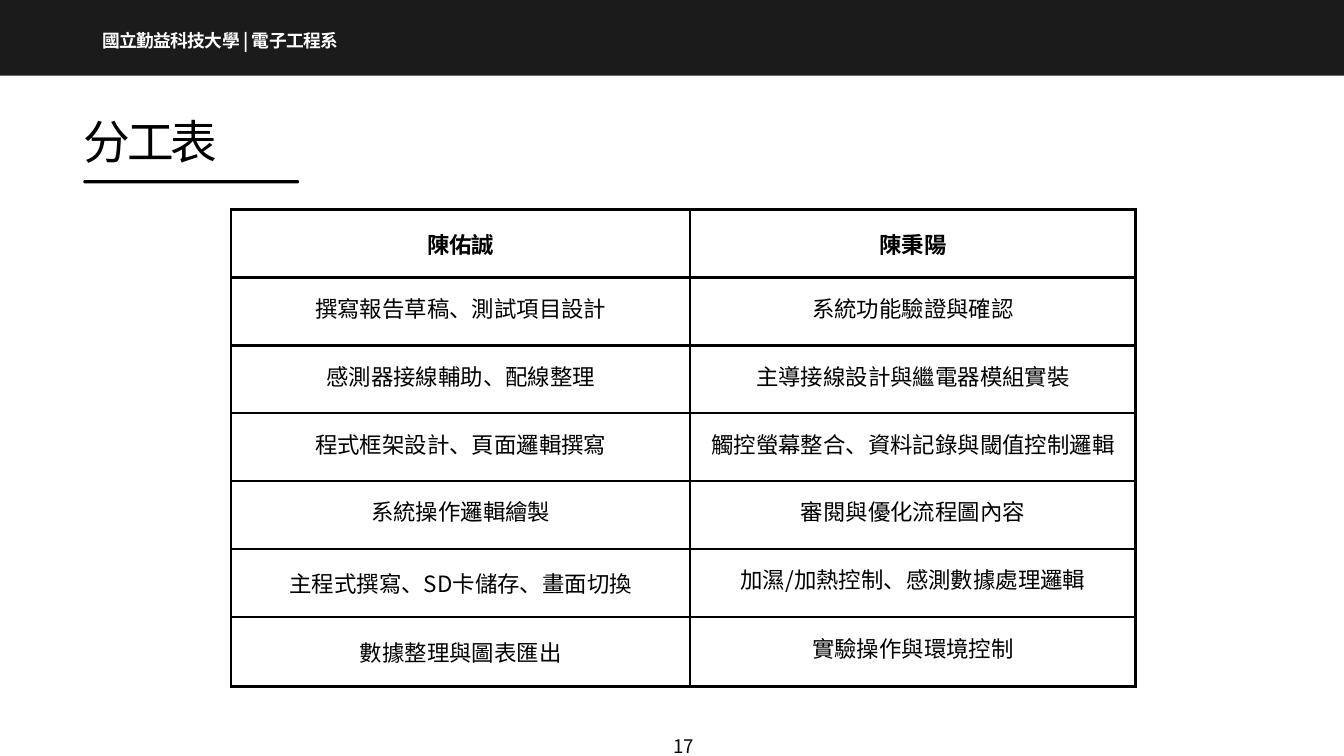
from lxml import etree
from pptx import Presentation
from pptx.dml.color import RGBColor
from pptx.enum.shapes import MSO_SHAPE as SHAPE
from pptx.enum.text import MSO_ANCHOR as ANCHOR, MSO_AUTO_SIZE as FIT, PP_ALIGN as ALIGN
from pptx.oxml.ns import qn
from pptx.util import Pt

FONT = "Noto Sans CJK SC"
COLORS = {"bar": "1B1B1B", "ink": "000000", "paper": "FFFFFF"}
TASKS = [
    ("陳佑誠", "陳秉陽"),
    ("撰寫報告草稿、測試項目設計", "系統功能驗證與確認"),
    ("感測器接線輔助、配線整理", "主導接線設計與繼電器模組實裝"),
    ("程式框架設計、頁面邏輯撰寫", "觸控螢幕整合、資料記錄與閾值控制邏輯"),
    ("系統操作邏輯繪製", "審閱與優化流程圖內容"),
    ("主程式撰寫、SD卡儲存、畫面切換", "加濕/加熱控制、感測數據處理邏輯"),
    ("數據整理與圖表匯出", "實驗操作與環境控制"),
]
COL_WIDTHS = (491.76, 477.36)
ROW_HEIGHTS = (72.72,) * 6 + (74.88,)
FIRST_LOOSE_ROW = 5


def rgb(name):
    return RGBColor.from_string(COLORS[name])


def write(tf, text, size, color="ink", bold=False, align=ALIGN.LEFT, leading=None, spacing=None):
    p = tf.paragraphs[0]
    p.alignment = align
    if leading:
        p.line_spacing = Pt(leading)
    r = p.add_run()
    r.text = text
    r.font.size = Pt(size)
    r.font.bold = bold
    r.font.color.rgb = rgb(color)
    r.font.name = FONT
    rpr = r.font._element
    etree.SubElement(rpr, qn("a:ea")).set("typeface", FONT)
    if spacing:
        rpr.set("spc", str(round(spacing * 100)))


def frame(sp):
    tf = sp.text_frame
    tf.word_wrap = True
    tf.auto_size = FIT.NONE
    tf.vertical_anchor = ANCHOR.TOP
    tf.margin_left = tf.margin_top = tf.margin_right = tf.margin_bottom = 0
    return tf


def add_text(slide, x, y, w, h, text, **fmt):
    sp = slide.shapes.add_textbox(Pt(x), Pt(y), Pt(w), Pt(h))
    write(frame(sp), text, **fmt)


def add_block(slide, kind, x, y, w, h, color):
    sp = slide.shapes.add_shape(kind, Pt(x), Pt(y), Pt(w), Pt(h))
    sp.shadow.inherit = False
    sp.fill.solid()
    sp.fill.fore_color.rgb = rgb(color)
    sp.line.fill.background()
    return sp


def add_header(slide, x, y, w, h):
    add_block(slide, SHAPE.RECTANGLE, x, y, w, h, "bar")
    add_text(slide, x + 109.44, y + 33.1, 302.4, 25.2, "國立勤益科技大學 | 電子工程系",
             size=19, color="paper", bold=True, leading=26.6, spacing=-0.6)


def add_title(slide, x, y, w, h):
    sp = slide.shapes.title
    sp.left, sp.top, sp.width, sp.height = Pt(x), Pt(y), Pt(w), Pt(h)
    write(frame(sp), "分工表", size=50, leading=70, spacing=-3.2)
    rule = add_block(slide, SHAPE.ROUNDED_RECTANGLE, x, y + 82, 231.1, 3.6, "ink")
    rule.adjustments[0] = 0.5


def set_borders(cell, color, width):
    tcpr = cell._tc.get_or_add_tcPr()
    for i, side in enumerate(("lnL", "lnR", "lnT", "lnB")):
        ln = etree.Element(qn(f"a:{side}"), w=str(Pt(width)))
        fill = etree.SubElement(ln, qn("a:solidFill"))
        etree.SubElement(fill, qn("a:srgbClr"), val=COLORS[color])
        tcpr.insert(i, ln)


def add_task_table(slide, x, y):
    shape = slide.shapes.add_table(len(TASKS), len(COL_WIDTHS), Pt(x), Pt(y),
                                   Pt(sum(COL_WIDTHS)), Pt(sum(ROW_HEIGHTS)))
    table = shape.table
    table.first_row = table.horz_banding = False
    for col, width in zip(table.columns, COL_WIDTHS):
        col.width = Pt(width)
    for row, height in zip(table.rows, ROW_HEIGHTS):
        row.height = Pt(height)
    for i, tasks in enumerate(TASKS):
        for j, task in enumerate(tasks):
            cell = table.cell(i, j)
            cell.fill.background()
            set_borders(cell, "ink", 3)
            cell.vertical_anchor = ANCHOR.MIDDLE
            loose = j == 0 and i >= FIRST_LOOSE_ROW
            if not loose:
                cell.margin_left = cell.margin_right = Pt(15)
                cell.margin_top = cell.margin_bottom = Pt(15)
            leading = None if loose else 35 if i == 0 else 26.6
            write(cell.text_frame, task, size=24, bold=i == 0, align=ALIGN.CENTER, leading=leading)


def add_page_number(slide, x, y, w, h):
    add_text(slide, x, y, w, h, "17", size=20, align=ALIGN.CENTER, leading=28)


def main():
    prs = Presentation()
    prs.slide_width, prs.slide_height = Pt(1440), Pt(810)
    slide = prs.slides.add_slide(prs.slide_layouts[5])
    add_header(slide, 0, -5, 1440, 86)
    add_title(slide, 89.28, 110.9, 751, 64.8)
    add_task_table(slide, 247.7, 224.6)
    add_page_number(slide, 709.2, 783.4, 46.8, 25.9)
    prs.save("out.pptx")


if __name__ == "__main__":
    main()
